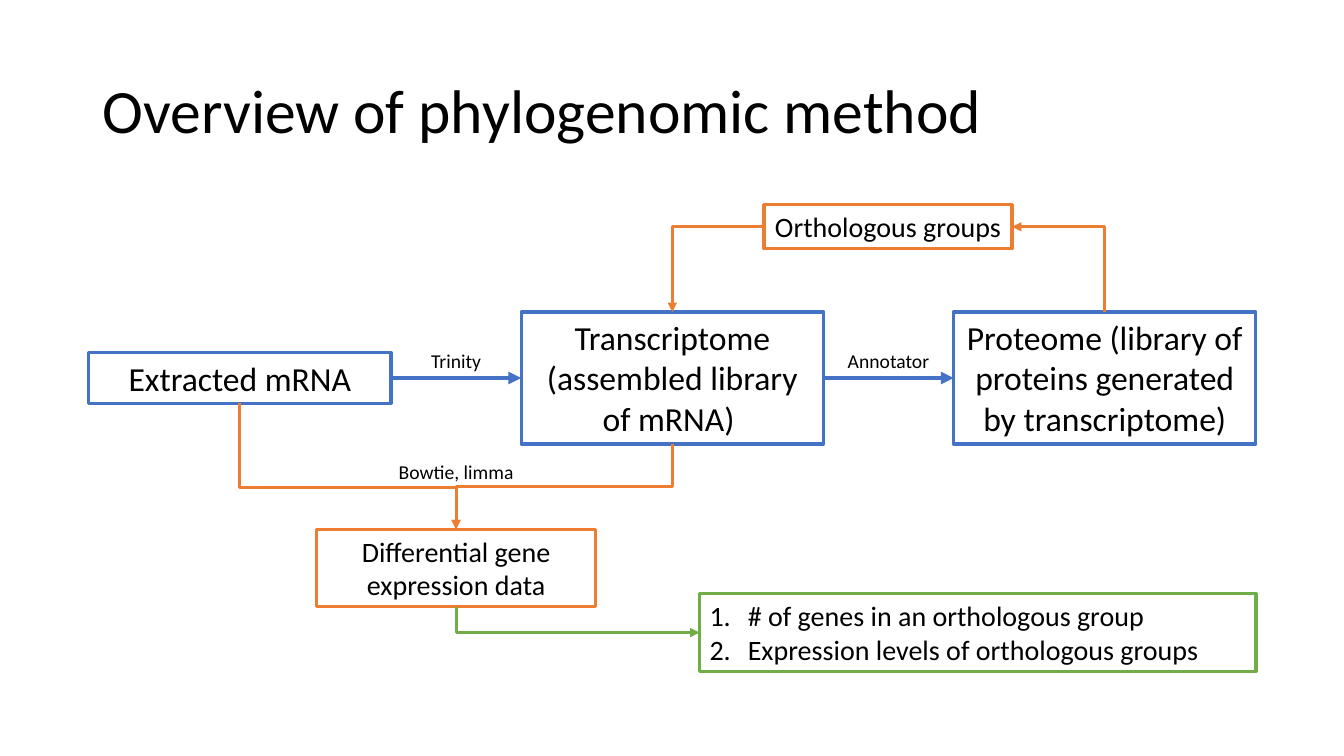
from dataclasses import dataclass

from lxml import etree
from pptx import Presentation
from pptx.dml.color import RGBColor
from pptx.enum.shapes import MSO_CONNECTOR, MSO_SHAPE
from pptx.enum.text import MSO_ANCHOR, MSO_AUTO_SIZE, PP_ALIGN
from pptx.oxml.ns import qn
from pptx.util import Inches, Pt

RECTANGLE = MSO_SHAPE.RECTANGLE
STRAIGHT, ELBOW = MSO_CONNECTOR.STRAIGHT, MSO_CONNECTOR.ELBOW
LEFT, CENTER = PP_ALIGN.LEFT, PP_ALIGN.CENTER
MIDDLE, TOP_ANCHOR = MSO_ANCHOR.MIDDLE, MSO_ANCHOR.TOP
GROW, FIXED = MSO_AUTO_SIZE.SHAPE_TO_FIT_TEXT, MSO_AUTO_SIZE.NONE

FONT = "Calibri"
COLORS = {"text": "000000", "flow": "4472C4", "analysis": "ED7D31", "result": "70AD47"}

# Grid: square cells, ten to the inch
COLUMNS, ROWS = 133.33, 75
STEP_LEFT, STEP_WIDTH, STEP_PITCH = 8.8, 30, 42.9
STEP_MIDDLE = 37.5
STEP_GAP = STEP_PITCH - STEP_WIDTH
FIRST_GAP_CENTER = STEP_LEFT + STEP_WIDTH + STEP_GAP / 2
RIGHT_EDGE = STEP_LEFT + 2 * STEP_PITCH + STEP_WIDTH

# Connection sites of a rectangle
TOP, WEST, BOTTOM, EAST = range(4)


@dataclass(frozen=True)
class Box:
    key: str
    lines: tuple[str, ...]
    column: float
    row: float
    columns: float
    rows: float
    color: str
    size: float = 20
    wrap: bool = True
    numbered: bool = False


@dataclass(frozen=True)
class Arrow:
    start: str
    start_site: int
    end: str
    end_site: int
    color: str
    preset: str = "bentConnector2"
    bend: float | None = None
    weight: float = 2.25


@dataclass(frozen=True)
class Label:
    text: str
    center: float
    row: float
    columns: float


def step(key: str, text: str, index: int, rows: float) -> Box:
    """A main step, centred on the common flow line."""
    return Box(key, (text,), STEP_LEFT + index * STEP_PITCH, STEP_MIDDLE - rows / 2,
               STEP_WIDTH, rows, "flow", size=24)


BOXES = (
    step("mrna", "Extracted mRNA", 0, 5),
    step("transcriptome", "Transcriptome (assembled library of mRNA) ", 1, 13.1),
    step("proteome", "Proteome (library of proteins generated by transcriptome)", 2, 13.1),
    Box("groups", ("Orthologous groups",), 75.8, 20.3, 24.6, 4.4, "analysis", wrap=False),
    Box("expression", ("Differential gene expression data",),
        FIRST_GAP_CENTER - 13.85, 52.5, 27.7, 7.7, "analysis"),
    Box("findings", ("# of genes in an orthologous group",
                     "Expression levels of orthologous groups"),
        69.4, 58.9, RIGHT_EDGE - 69.4, 7.7, "result", numbered=True),
)

ARROWS = (
    Arrow("mrna", EAST, "transcriptome", WEST, "flow", "line", weight=3),
    Arrow("transcriptome", EAST, "proteome", WEST, "flow", "line", weight=3),
    Arrow("proteome", TOP, "groups", EAST, "analysis"),
    Arrow("groups", WEST, "transcriptome", TOP, "analysis"),
    Arrow("transcriptome", BOTTOM, "expression", TOP, "analysis", "bentConnector3", 0.5),
    Arrow("mrna", BOTTOM, "expression", TOP, "analysis", "bentConnector3", 0.67),
    Arrow("expression", BOTTOM, "findings", WEST, "result"),
)

LABELS = (
    Label("Trinity", FIRST_GAP_CENTER, 34.1, 7.1),
    Label("Annotator", FIRST_GAP_CENTER + STEP_PITCH, 34.1, 10.4),
    Label("Bowtie, limma", FIRST_GAP_CENTER, 45.1, 13.5),
)


def cells(count: float) -> int:
    return Inches(count / 10)


def rgb(name: str) -> RGBColor:
    return RGBColor.from_string(COLORS[name])


def write(frame, *lines: str, size: float, align=CENTER, anchor=TOP_ANCHOR, fit=GROW,
          wrap: bool = True, numbered: bool = False, spacing: float = 1.0) -> None:
    frame.word_wrap = wrap
    frame.auto_size = fit
    frame.vertical_anchor = anchor
    for index, line in enumerate(lines):
        paragraph = frame.paragraphs[0] if index == 0 else frame.add_paragraph()
        if numbered:
            properties = paragraph._p.get_or_add_pPr()
            properties.set("marL", str(cells(3.8)))
            properties.set("indent", str(-cells(3.8)))
            etree.SubElement(properties, qn("a:buFont"), typeface="+mj-lt")
            etree.SubElement(properties, qn("a:buAutoNum"), type="arabicPeriod")
        paragraph.alignment = align
        paragraph.line_spacing = spacing
        run = paragraph.add_run()
        run.text = line
        run.font.name = FONT
        run.font.size = Pt(size)
        run.font.color.rgb = rgb("text")


def draw_box(slide, box: Box):
    shape = slide.shapes.add_shape(RECTANGLE, cells(box.column), cells(box.row),
                                   cells(box.columns), cells(box.rows))
    shape.shadow.inherit = False
    shape.fill.background()
    shape.line.color.rgb = rgb(box.color)
    shape.line.width = Pt(2.25)
    write(shape.text_frame, *box.lines, size=box.size, wrap=box.wrap,
          align=LEFT if box.numbered else CENTER, numbered=box.numbered)
    return shape


def turn_quarter(connector) -> None:
    """Make an elbow leave its start vertically: swap its axes about the centre."""
    x1, y1 = connector.begin_x, connector.begin_y
    x2, y2 = connector.end_x, connector.end_y
    center_x, center_y = (x1 + x2) // 2, (y1 + y2) // 2
    half_x, half_y = (x2 - x1) // 2, (y2 - y1) // 2
    connector.begin_x, connector.begin_y = center_x - half_y, center_y + half_x
    connector.end_x, connector.end_y = center_x + half_y, center_y - half_x
    connector._element.spPr.find(qn("a:xfrm")).set("rot", str(90 * 60000))


def draw_arrow(slide, arrow: Arrow, shapes: dict) -> None:
    kind = STRAIGHT if arrow.preset == "line" else ELBOW
    connector = slide.shapes.add_connector(kind, 0, 0, 0, 0)
    connector.begin_connect(shapes[arrow.start], arrow.start_site)
    connector.end_connect(shapes[arrow.end], arrow.end_site)
    if arrow.start_site in (TOP, BOTTOM):
        turn_quarter(connector)
    connector.line.color.rgb = rgb(arrow.color)
    connector.line.width = Pt(arrow.weight)

    properties = connector._element.spPr
    geometry = properties.find(qn("a:prstGeom"))
    geometry.set("prst", arrow.preset)
    if arrow.bend is not None:
        etree.SubElement(geometry.find(qn("a:avLst")), qn("a:gd"), name="adj1",
                         fmla=f"val {round(arrow.bend * 100000)}")
    etree.SubElement(properties.find(qn("a:ln")), qn("a:tailEnd"), type="triangle")
    etree.SubElement(properties, qn("a:effectLst"))


def draw_label(slide, label: Label) -> None:
    caption = slide.shapes.add_textbox(cells(label.center - label.columns / 2),
                                       cells(label.row), cells(label.columns), cells(3.4))
    write(caption.text_frame, label.text, size=14, wrap=False)


def main() -> None:
    deck = Presentation()
    deck.slide_width, deck.slide_height = cells(COLUMNS), cells(ROWS)
    slide = deck.slides.add_slide(deck.slide_layouts[6])

    # Title
    title = slide.shapes.add_textbox(cells(9.2), cells(4), cells(115), cells(14.5))
    write(title.text_frame, "Overview of phylogenomic method", size=44, align=LEFT,
          anchor=MIDDLE, fit=FIXED, spacing=0.9)

    # Steps and results, the arrows between them, and the tools used
    shapes = {box.key: draw_box(slide, box) for box in BOXES}
    for arrow in ARROWS:
        draw_arrow(slide, arrow, shapes)
    for label in LABELS:
        draw_label(slide, label)

    deck.save("out.pptx")


if __name__ == "__main__":
    main()
